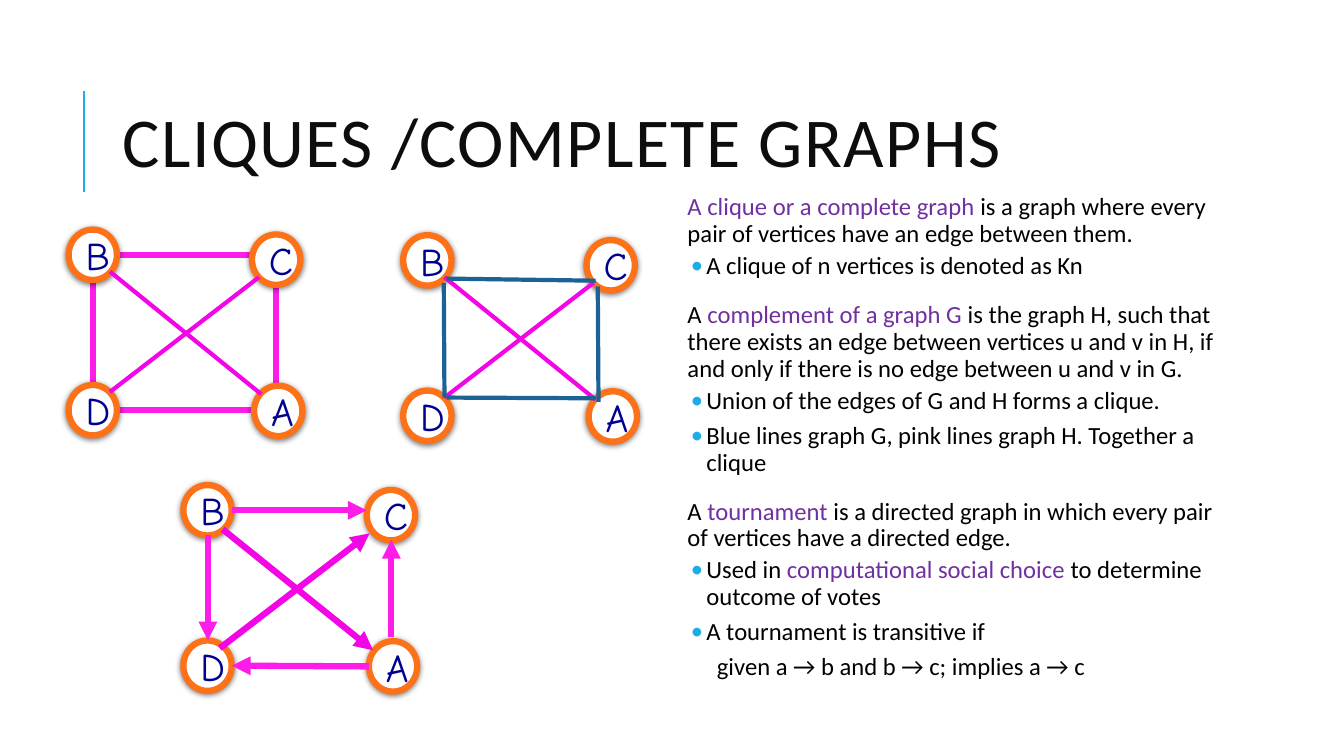
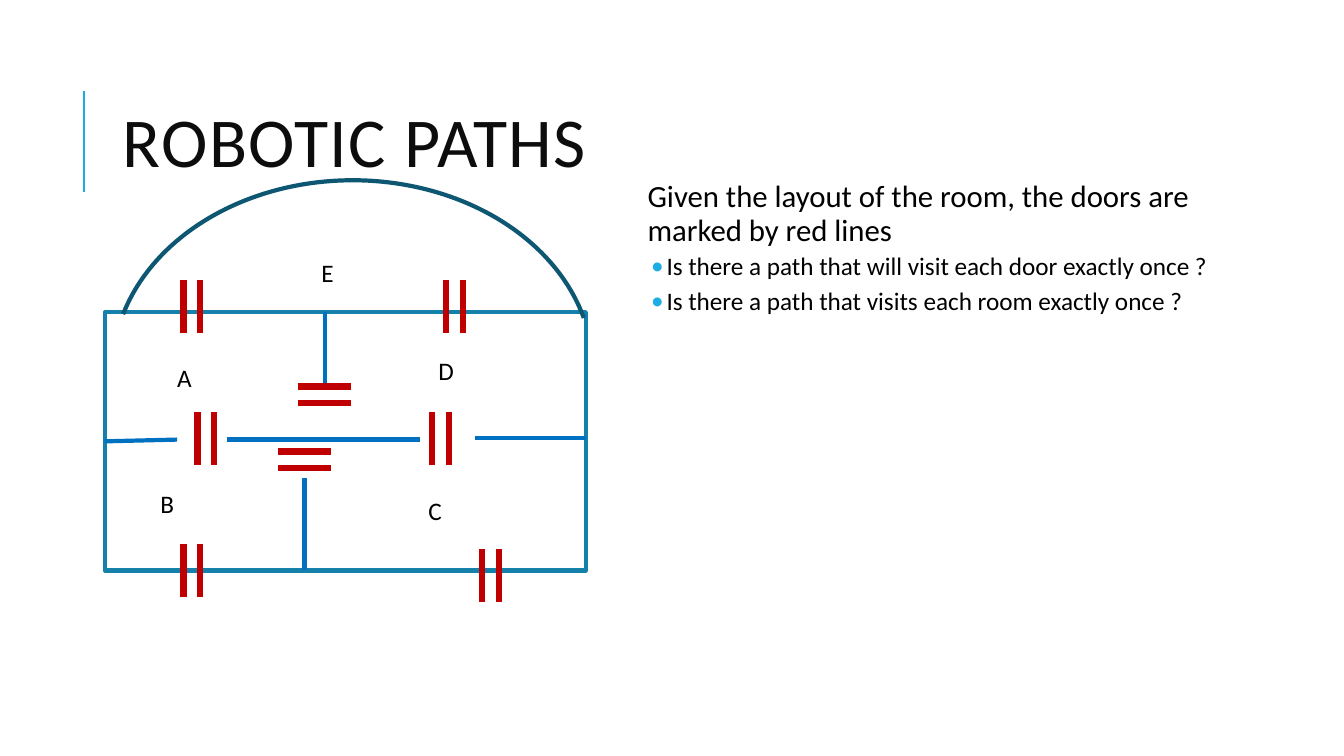
import pptx
import pptx.util
import pptx.dml.color
import pptx.enum.shapes
import pptx.enum.text
import pptx.oxml
import pptx.oxml.ns

Pt = pptx.util.Pt
RGB = pptx.dml.color.RGBColor
SHAPE = pptx.enum.shapes.MSO_SHAPE
STRAIGHT = pptx.enum.shapes.MSO_CONNECTOR.STRAIGHT
ALIGN = pptx.enum.text.PP_ALIGN
ANCHOR = pptx.enum.text.MSO_ANCHOR
AUTOSIZE = pptx.enum.text.MSO_AUTO_SIZE
qn = pptx.oxml.ns.qn
NS = pptx.oxml.ns.nsdecls("a")

# Shared look
ACCENT = RGB(0x1C, 0xAD, 0xE4)
TITLE = RGB(0x0D, 0x0D, 0x0D)
BLACK = RGB(0x00, 0x00, 0x00)
WHITE = RGB(0xFF, 0xFF, 0xFF)
PURPLE = RGB(0x70, 0x30, 0xA0)
PINK = RGB(0xFD, 0x1C, 0xE8)
MAGENTA = RGB(0xF3, 0x06, 0xE5)
EDGE_BLUE = RGB(0x1D, 0x62, 0x94)
ORANGE = RGB(0xFD, 0x71, 0x19)
NAVY = RGB(0x00, 0x00, 0x90)
ROOM = RGB(0x15, 0x80, 0xA9)
WALL = RGB(0x00, 0x70, 0xC0)
DOOR = RGB(0xC0, 0x00, 0x00)
ROOF = RGB(0x0E, 0x57, 0x72)
FONT = "Calibri"
NODE_FONT = "Comic Neue"

# Vertices of each graph, measured from its top left corner
NODE_W, NODE_H = 34.5, 36
NODES = {"C": (131, 3.5), "B": (0, 0), "D": (0, 111), "A": (132.5, 111.5)}
DIAGONALS = [(29.5, 30, 137.5, 117.5), (136, 34, 29.5, 116)]

# Body levels: left indent, first line, space before, space after
LEVELS = [(7.5, 0, 12, 2), (21, -11, 2, 4), (28.5, 0, 2, 4)]


def style_font(font, size, color, name=FONT):
    font.size, font.name = Pt(size), name
    font.color.rgb = color


def add_line(s, x1, y1, x2, y2, color, width, arrow=False):
    line = s.shapes.add_connector(STRAIGHT, Pt(x1), Pt(y1), Pt(x2), Pt(y2))
    line.line.color.rgb = color
    line.line.width = Pt(width)
    if arrow:
        line.line._get_or_add_ln().append(
            pptx.oxml.parse_xml(f'<a:tailEnd {NS} type="triangle"/>'))
    line._element.spPr.append(pptx.oxml.parse_xml(f"<a:effectLst {NS}/>"))
    return line


def add_outline(s, kind, x, y, w, h, color, width):
    sp = s.shapes.add_shape(kind, Pt(x), Pt(y), Pt(w), Pt(h))
    sp.shadow.inherit = False
    sp.fill.background()
    sp.line.color.rgb = color
    sp.line.width = Pt(width)
    return sp


def add_slide(prs, title):
    s = prs.slides.add_slide(prs.slide_layouts[5])
    add_line(s, 60, 137, 60, 65, ACCENT, 1.5)
    sp = s.shapes.title
    sp.left, sp.top, sp.width, sp.height = Pt(80.5), Pt(46), Pt(765.5), Pt(118)
    tf = sp.text_frame
    tf.text = title
    tf.auto_size = AUTOSIZE.NONE
    tf.vertical_anchor = ANCHOR.MIDDLE
    p = tf.paragraphs[0]
    p.alignment, p.line_spacing = ALIGN.LEFT, 0.8
    r = p.runs[0]
    style_font(r.font, 50, TITLE)
    r.font._element.set("spc", "100")
    return s


def add_body(s, x, y, w, h, sizes, paragraphs):
    """Each paragraph is a level and its text; *stars* mark purple words."""
    tf = s.shapes.add_textbox(Pt(x), Pt(y), Pt(w), Pt(h)).text_frame
    tf.word_wrap = True
    tf.margin_left = tf.margin_right = tf.margin_top = tf.margin_bottom = Pt(3.6)
    for i, (level, text) in enumerate(paragraphs):
        p = tf.add_paragraph() if i else tf.paragraphs[0]
        left, first, before, after = LEVELS[level]
        pPr = p._p.get_or_add_pPr()
        pPr.set("marL", str(Pt(left)))
        pPr.set("indent", str(Pt(first)))
        if level == 1:
            for xml in (f'<a:buClr {NS}><a:srgbClr val="{ACCENT}"/></a:buClr>',
                        f'<a:buFont {NS} typeface="{FONT}"/>',
                        f'<a:buChar {NS} char="•"/>'):
                pPr.append(pptx.oxml.parse_xml(xml))
        p.line_spacing = 0.9
        p.space_before, p.space_after = Pt(before if i else 0), Pt(after)
        for j, part in enumerate(text.split("*")):
            if part:
                r = p.add_run()
                r.text = part
                style_font(r.font, sizes[level], PURPLE if j % 2 else BLACK)


def add_node(s, x, y, letter):
    sp = add_outline(s, SHAPE.OVAL, x, y, NODE_W, NODE_H, ORANGE, 4.5)
    sp.fill.solid()
    sp.fill.fore_color.rgb = WHITE
    sp._element.spPr.find(qn("a:effectLst")).append(pptx.oxml.parse_xml(
        f'<a:outerShdw {NS} blurRad="{Pt(4)}" dist="{Pt(1)}" dir="5400000" '
        'rotWithShape="0"><a:srgbClr val="000000"><a:alpha val="50000"/>'
        '</a:srgbClr></a:outerShdw>'))
    tf = sp.text_frame
    tf.text = letter
    tf.vertical_anchor = ANCHOR.MIDDLE
    p = tf.paragraphs[0]
    p.alignment = ALIGN.CENTER
    style_font(p.runs[0].font, 28, NAVY, NODE_FONT)


def add_nodes(s, x, y):
    for letter, (dx, dy) in NODES.items():
        add_node(s, x + dx, y + dy, letter)


def add_edges(s, x, y, edges, color, width, arrow=False):
    for x1, y1, x2, y2 in edges:
        add_line(s, x + x1, y + y1, x + x2, y + y2, color, width, arrow)


def add_door(s, cx, cy, upright=True):
    half, gap = 19, 6
    for d in (-gap, gap):
        if upright:
            ends = (cx + d, cy - half, cx + d, cy + half)
        else:
            ends = (cx - half, cy + d, cx + half, cy + d)
        add_line(s, *ends, DOOR, 4.5)


def add_label(s, x, y, text):
    tf = s.shapes.add_textbox(Pt(x), Pt(y), Pt(56), Pt(29)).text_frame
    tf.word_wrap = True
    tf.text = text
    style_font(tf.paragraphs[0].runs[0].font, 18, BLACK)


def build_cliques(prs):
    s = add_slide(prs, "CLIQUES /COMPLETE GRAPHS")
    add_body(s, 480, 135.5, 402, 372, (17.6, 17.6, 17.6), [
        (0, "*A clique or a complete graph *is a graph where every pair of "
            "vertices have an edge between them."),
        (1, "A clique of n vertices is denoted as Kn"),
        (0, "A *complement of a graph G* is the graph H, such that there exists "
            "an edge between vertices u and v in H, if and only if there is no "
            "edge between u and v in G."),
        (1, "Union of the edges of G and H forms a clique."),
        (1, "Blue lines graph G, pink lines graph H. Together a clique"),
        (0, "A *tournament *is a directed graph in which every pair of vertices "
            "have a directed edge."),
        (1, "Used in *computational social choice *to determine outcome of votes"),
        (1, "A tournament is transitive if"),
        (2, "given a → b and b → c; implies a → c"),
    ])

    # Clique
    x, y = 49, 164
    add_outline(s, SHAPE.RECTANGLE, x + NODE_W / 2, y + NODE_H / 2, 131, 111, PINK, 4.5)
    add_nodes(s, x, y)
    add_edges(s, x, y, DIAGONALS, MAGENTA, 3)

    # Graph and its complement
    x, y = 288, 168
    add_nodes(s, x, y)
    add_edges(s, x, y, DIAGONALS, MAGENTA, 3)
    add_edges(s, x, y, [(31, 116, 137.5, 116.5), (31, 31, 137.5, 32.5),
                        (29.5, 116, 29, 34), (139.5, 119, 139, 36.5)], EDGE_BLUE, 3)

    # Tournament
    x, y = 131, 346.5
    add_nodes(s, x, y)
    add_edges(s, x, y, [(34.5, 18, 131, 18), (17.5, 36, 17.5, 111),
                        (132.5, 129.5, 34.5, 129), (148.5, 108.5, 148.5, 39)],
              PINK, 4.5, arrow=True)
    add_edges(s, x, y, [(28, 31.5, 135.5, 118), (26, 116.5, 133, 34.5)],
              MAGENTA, 4.5, arrow=True)


def build_robotic_paths(prs):
    s = add_slide(prs, "ROBOTIC PATHS")
    add_body(s, 451.5, 126, 432, 317, (22, 18), [
        (0, "Given the layout of the room, the doors are marked by red lines"),
        (1, "Is there a path that will visit each door exactly once ?"),
        (1, "Is there a path that visits each room exactly once ?"),
    ])

    # Outer room and inner walls
    left, top, width, height = 75, 223, 343.5, 184.5
    right, bottom = left + width, top + height
    room = add_outline(s, SHAPE.RECTANGLE, left, top, width, height, ROOM, 3)
    west = add_line(s, left, top + height / 2, 126.5, 314, WALL, 3)
    west.begin_connect(room, 1)
    for ends in [(162.5, 314, 300, 314), (339, 313, right, 313),
                 (232, 276, 232, top), (217.5, 341.5, 217.5, bottom)]:
        add_line(s, *ends, WALL, 3)

    # Doors
    for cx, cy in [(137, 219), (324.5, 219), (147, 313), (314.5, 313),
                   (350.5, 411), (137, 407.5)]:
        add_door(s, cx, cy)
    for cx, cy in [(217.5, 328.5), (232, 282)]:
        add_door(s, cx, cy, upright=False)

    # Room names
    for text, x, y in [("A", 119.5, 255.5), ("B", 107.5, 345), ("D", 306, 250.5),
                       ("C", 299, 350), ("E", 222.5, 180.5)]:
        add_label(s, x, y, text)

    # Curved outer wall
    roof = add_outline(s, SHAPE.ARC, 116, 93, 272, 343.5, ROOF, 3)
    roof.rotation = 270
    roof.adjustments[0], roof.adjustments[1] = 170.29, 46.29


def main():
    prs = pptx.Presentation()
    prs.slide_width, prs.slide_height = Pt(960), Pt(540)
    build_cliques(prs)
    build_robotic_paths(prs)
    prs.save("out.pptx")


if __name__ == "__main__":
    main()
